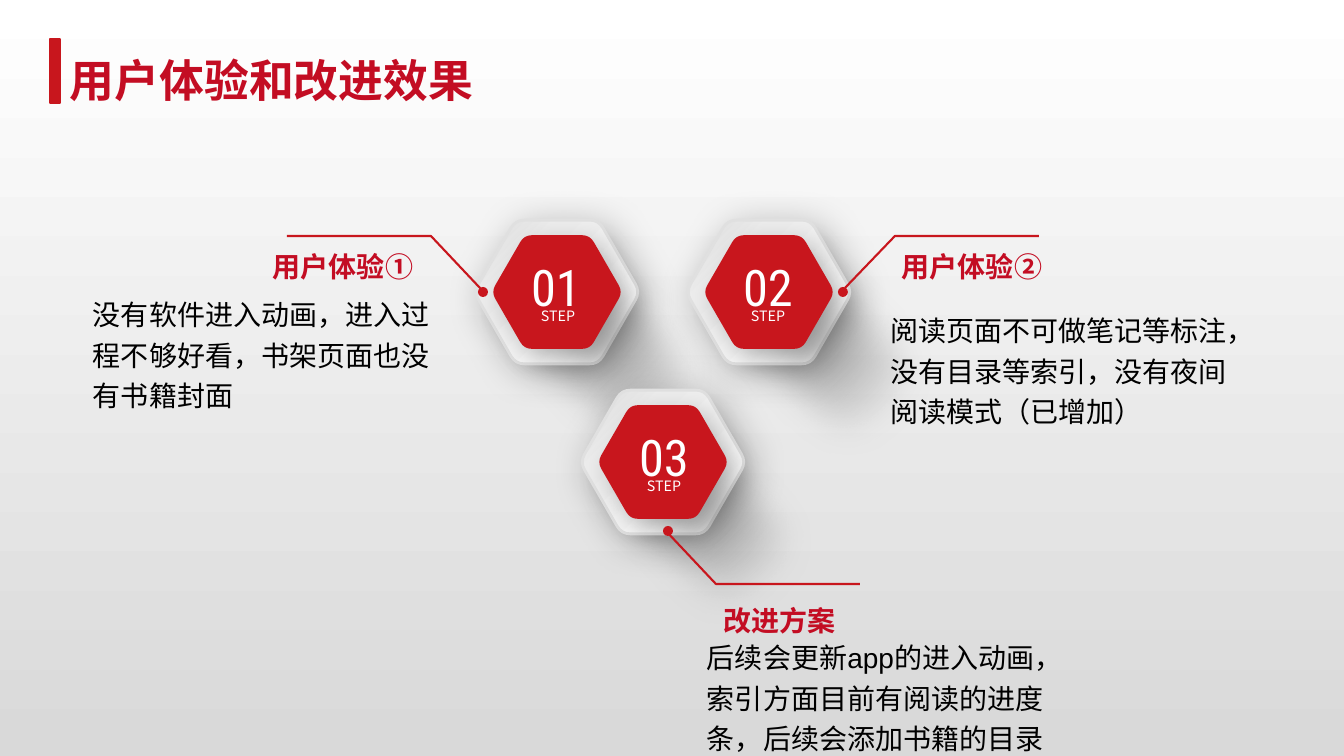
from math import cos, radians, sin

from lxml import etree
from pptx import Presentation
from pptx.dml.color import RGBColor
from pptx.enum.shapes import MSO_SHAPE
from pptx.enum.text import MSO_AUTO_SIZE, PP_ALIGN
from pptx.oxml.ns import qn
from pptx.util import Pt

SLIDE_W, SLIDE_H = 1344, 756
EMU_PER_PX = 12192000 / SLIDE_W

RED = RGBColor(0xC8, 0x16, 0x1D)
TITLE_RED = RGBColor(0xC3, 0x0D, 0x23)
WHITE = RGBColor(0xFF, 0xFF, 0xFF)
BLACK = RGBColor(0x00, 0x00, 0x00)
PALE = RGBColor(0xEC, 0xEC, 0xEC)
RIM = RGBColor(0xE0, 0xE0, 0xE0)
SILVER = RGBColor(0xD9, 0xD9, 0xD9)
SMOKE = RGBColor(0xD8, 0xD8, 0xD8)
SOOT = RGBColor(0x6C, 0x6C, 0x6C)

RECT = MSO_SHAPE.RECTANGLE
ROUNDED = MSO_SHAPE.ROUNDED_RECTANGLE
OVAL = MSO_SHAPE.OVAL
LEFT, CENTER = PP_ALIGN.LEFT, PP_ALIGN.CENTER
GROW = MSO_AUTO_SIZE.SHAPE_TO_FIT_TEXT

# Gradient stops: position %, colour, opacity %
BACKDROP = [(0, WHITE, 100), (99, SILVER, 100)]
PLATE = [(0, WHITE, 100), (73, PALE, 100), (100, SILVER, 100)]
CAST = [(0, BLACK, 61), (37, SOOT, 50), (100, SMOKE, 0)]

TITLE = {"size": Pt(32), "name": "Arial", "bold": True}
HEADING = {"size": Pt(20), "name": "Arial", "bold": True}
BODY = {"size": Pt(20), "name": "Arial"}
NUMBER = {"size": Pt(36), "name": "Roboto Condensed"}
STEP = {"size": Pt(10.2), "name": "Noto Sans CJK SC"}
FLUSH = {"margin_left": 0, "margin_right": 0, "margin_top": 0, "margin_bottom": 0}


def px(length):
    return round(length * EMU_PER_PX)


def add_colour(parent, colour, opacity):
    node = etree.SubElement(parent, qn("a:srgbClr"), val=str(colour))
    if opacity < 100:
        etree.SubElement(node, qn("a:alpha"), val=str(opacity * 1000))


def paint_gradient(fill, owner, stops, angle):
    """Fill with stops that carry opacity; the angle runs clockwise in degrees."""
    fill.gradient()
    gradient = owner.find(".//" + qn("a:gradFill"))
    for child in list(gradient):
        gradient.remove(child)
    stop_list = etree.SubElement(gradient, qn("a:gsLst"))
    for position, colour, opacity in stops:
        stop = etree.SubElement(stop_list, qn("a:gs"), pos=str(position * 1000))
        add_colour(stop, colour, opacity)
    etree.SubElement(gradient, qn("a:lin"), ang=str(angle * 60000), scaled="0")


def hexagon_points(cx, cy, radius, cut=0.11):
    """Start, middle and end of the curve at each corner of a regular hexagon."""
    corners = [(cx + radius * cos(radians(60 * i)), cy + radius * sin(radians(60 * i)))
               for i in range(6)]
    points = []
    for i, corner in enumerate(corners):
        start, end = ([c + (n - c) * cut for c, n in zip(corner, neighbour)]
                      for neighbour in (corners[i - 1], corners[(i + 1) % 6]))
        middle = [(s + 2 * c + e) / 4 for s, c, e in zip(start, corner, end)]
        points += [start, middle, end]
    return points


def curve_corners(shape):
    """Turn each start, middle, end triple of the outline into one curve."""
    nodes = list(shape._element.spPr.iter(qn("a:pt")))
    for start, middle, end in zip(nodes[::3], nodes[1::3], nodes[2::3]):
        for axis in ("x", "y"):
            s, m, e = (int(node.get(axis)) for node in (start, middle, end))
            middle.set(axis, str(round(2 * m - (s + e) / 2)))
        line_to, spent = middle.getparent(), end.getparent()
        curve = etree.Element(qn("a:quadBezTo"))
        line_to.addprevious(curve)
        curve.extend([middle, end])
        for leftover in (line_to, spent):
            leftover.getparent().remove(leftover)


class StepSlide:
    def __init__(self, slide):
        self.slide = slide
        self.shapes = slide.shapes
        paint_gradient(slide.background.fill, slide.background._cSld, BACKDROP, 90)

    def stroke(self, shape, colour, points):
        shape.line.color.rgb = colour
        shape.line.width = Pt(points)

    def preset(self, kind, x, y, w, h):
        shape = self.shapes.add_shape(kind, px(x), px(y), px(w), px(h))
        shape.shadow.inherit = False
        shape.fill.solid()
        shape.fill.fore_color.rgb = RED
        shape.line.fill.background()
        return shape

    def outline(self, points, close):
        first, *rest = [(px(x), px(y)) for x, y in points]
        builder = self.shapes.build_freeform(*first, scale=1.0)
        builder.add_line_segments(rest, close=close)
        shape = builder.convert_to_shape()
        shape.shadow.inherit = False
        return shape

    def text(self, words, x, y, w, h, font, colour, align=LEFT, wrap=True,
             spacing=None, margins=None):
        frame = self.shapes.add_textbox(px(x), px(y), px(w), px(h)).text_frame
        frame.word_wrap = wrap
        frame.auto_size = GROW
        for key, value in (margins or {}).items():
            setattr(frame, key, value)
        paragraph = frame.paragraphs[0]
        paragraph.alignment = align
        if spacing:
            paragraph.line_spacing = spacing
        run = paragraph.add_run()
        run.text = words
        for key, value in font.items():
            setattr(run.font, key, value)
        run.font.color.rgb = colour

    def cast(self, cx, cy, w, h):
        """Long slanted shade that fades away from a hexagon."""
        shade = self.preset(ROUNDED, cx - w / 2, cy - h / 2, w, h)
        shade.adjustments[0] = 0.5
        shade.rotation = 46
        paint_gradient(shade.fill, shade._element.spPr, CAST, 0)
        effects = shade._element.spPr.find(qn("a:effectLst"))
        etree.SubElement(effects, qn("a:softEdge"), rad=str(Pt(25)))

    def hexagon(self, cx, cy, radius, edge, opacity, blur, distance):
        shape = self.outline(hexagon_points(cx, cy, radius), close=True)
        curve_corners(shape)
        shape.rotation = 180
        self.stroke(shape, edge, 2)
        effects = shape._element.spPr.find(qn("a:effectLst"))
        shadow = etree.SubElement(
            effects, qn("a:outerShdw"), blurRad=str(Pt(blur)), dist=str(Pt(distance)),
            dir=str(45 * 60000), algn="tl", rotWithShape="0")
        add_colour(shadow, BLACK, opacity)
        return shape

    def badge(self, number, center, far_shade, near_shade, number_x, step_x):
        cx, cy = center
        self.cast(*far_shade, 285, 197)
        plate = self.hexagon(cx, cy, 83, RIM, 28, 28, 7)
        paint_gradient(plate.fill, plate._element.spPr, PLATE, 45)
        self.cast(*near_shade, 242, 158)
        core = self.hexagon(cx, cy, 64, RED, 25, 20, 9)
        core.fill.solid()
        core.fill.fore_color.rgb = RED
        self.text(number, number_x, cy - 41, 86, 72, NUMBER, WHITE, CENTER)
        self.text("STEP", step_x, cy + 10, 86, 27, STEP, WHITE, CENTER)

    def leader(self, dot, start, bend_dx, bend_dy, run_dx):
        x, y = start
        bend = (x + bend_dx, y + bend_dy)
        line = self.outline([start, bend, (bend[0] + run_dx, bend[1])], close=False)
        line.fill.background()
        self.stroke(line, RED, 1.5)
        self.preset(OVAL, dot[0] - 5, dot[1] - 5, 10, 10)

    def note(self, heading, heading_at, heading_w, body, body_at):
        self.text(body, *body_at, 363, 122, BODY, BLACK, spacing=1.2, margins=FLUSH)
        self.text(heading, *heading_at, heading_w, 44, HEADING, TITLE_RED)


def main():
    deck = Presentation()
    deck.slide_width, deck.slide_height = px(SLIDE_W), px(SLIDE_H)
    page = StepSlide(deck.slides.add_slide(deck.slide_layouts[6]))

    title_bar = page.preset(RECT, 50, 39, 10, 64)
    page.stroke(title_bar, RED, 2)
    page.text("用户体验和改进效果", 60, 48, 427, 65, TITLE, TITLE_RED, wrap=False)

    badges = [
        ("01", (557, 292), (598, 342), (601, 336), 513, 515),
        ("03", (663, 462), (697, 510), (700, 508), 621, 621),
        ("02", (769, 292), (818, 340), (813, 337), 725, 725),
    ]
    for badge in badges:
        page.badge(*badge)

    leaders = [
        ((843, 292), (845, 288), 50, -52, 144),
        ((483, 292), (481, 289), -50, -53, -144),
        ((668, 531), (666, 531), 50, 53, 144),
    ]
    for leader in leaders:
        page.leader(*leader)

    notes = [
        ("用户体验②", (892, 245), 304,
         "阅读页面不可做笔记等标注，没有目录等索引，没有夜间阅读模式（已增加）", (890, 307)),
        ("改进方案", (714, 599), 304,
         "后续会更新app的进入动画，索引方面目前有阅读的进度条，后续会添加书籍的目录", (707, 634)),
        ("用户体验①", (263, 245), 185,
         "没有软件进入动画，进入过程不够好看，书架页面也没有书籍封面", (93, 291)),
    ]
    for note in notes:
        page.note(*note)

    deck.save("out.pptx")


if __name__ == "__main__":
    main()
